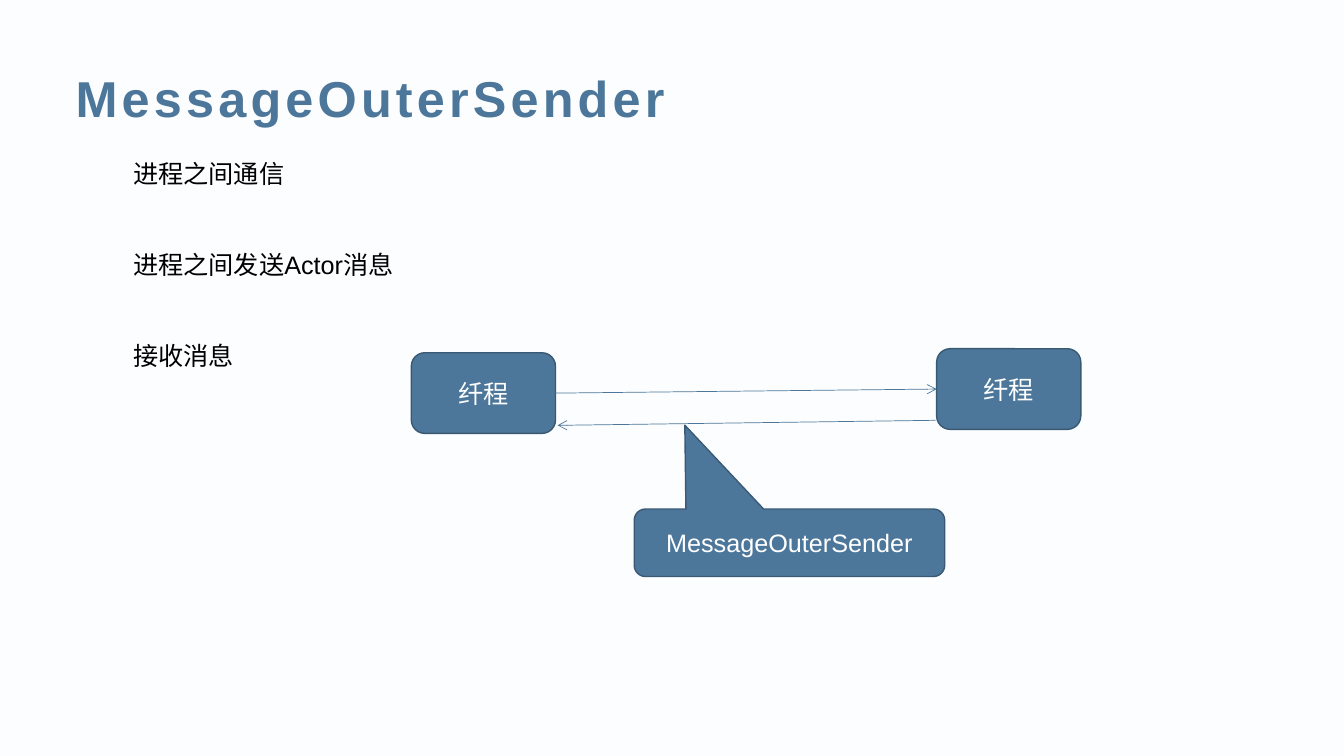
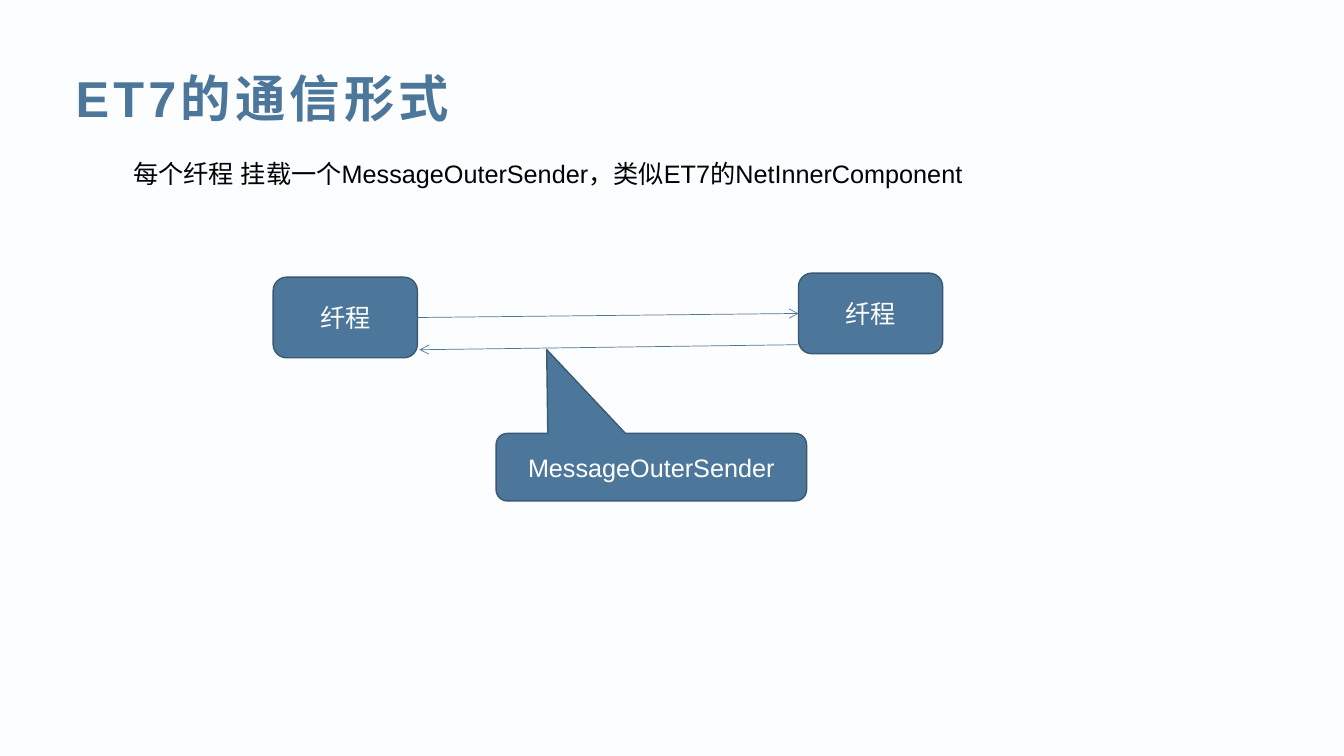
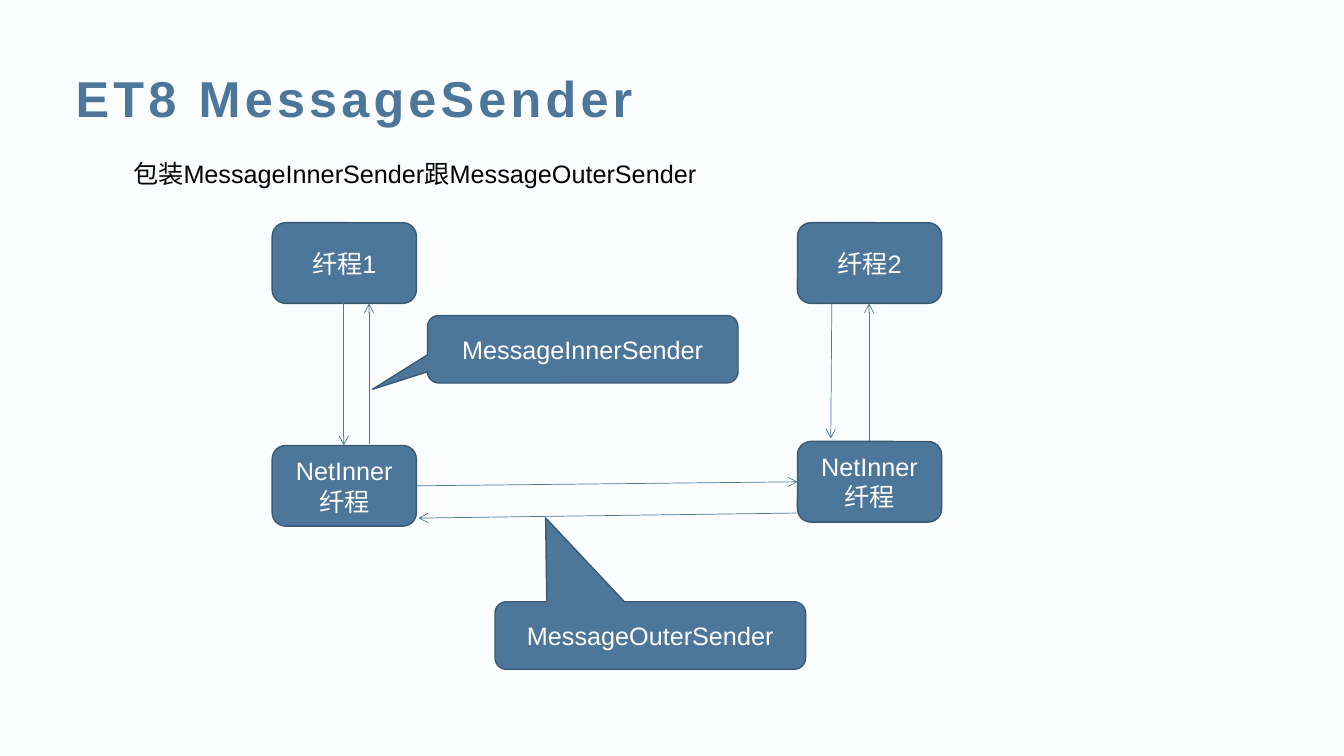
import lxml.etree
import pptx
import pptx.dml.color
import pptx.enum.lang
import pptx.enum.shapes
import pptx.enum.text
import pptx.oxml.ns
import pptx.util

PX = 9144  # EMU per px, 100 px to the inch
FONT = "Arial"
PAPER, BLUE, WHITE, BLACK = "FBFDFE", "4D779A", "FFFFFF", "000000"
EDGE, RIM = "395872", "3A5974"
BOX = (143, 80)
NOTE = (308, 67)
DOWN_LEFT = (-0.677, 0.593, 0.167)
UP_LEFT = (-0.337, -1.741, 0.167)

Kind = pptx.enum.shapes.MSO_SHAPE
Align = pptx.enum.text.PP_ALIGN
Anchor = pptx.enum.text.MSO_ANCHOR


def rgb(code):
    return pptx.dml.color.RGBColor.from_string(code)


def add_xml(parent, tag, **attrs):
    return lxml.etree.SubElement(parent, pptx.oxml.ns.qn(tag), **attrs)


def write(frame, *lines, size=18, color=BLACK, bold=False, track=0,
          align=Align.LEFT, anchor=Anchor.TOP, gap=0):
    """Fill a text frame, one paragraph a line; gap is points between them."""
    frame.word_wrap = True
    frame.auto_size = pptx.enum.text.MSO_AUTO_SIZE.NONE
    frame.vertical_anchor = anchor
    for i, line in enumerate(lines):
        para = frame.add_paragraph() if i else frame.paragraphs[0]
        para.alignment = align
        para.space_before = pptx.util.Pt(gap if i else 0)
        props = para._p.get_or_add_pPr()
        props.set("marL", "0")
        props.set("indent", "0")
        add_xml(props, "a:buNone")
        run = para.add_run()
        run.text = line
        font = run.font
        font.name = FONT
        font.size = pptx.util.Pt(size)
        font.bold = bold
        font.color.rgb = rgb(color)
        font.language_id = pptx.enum.lang.MSO_LANGUAGE_ID.SIMPLIFIED_CHINESE
        style = run._r.get_or_add_rPr()
        add_xml(style, "a:ea", typeface=FONT)
        if track:
            style.set("spc", str(track * 100))


class Deck:
    """Holds the shared style and the slide being drawn."""

    def __init__(self):
        self.prs = pptx.Presentation()
        self.prs.slide_width = 1333 * PX
        self.prs.slide_height = 750 * PX
        fill = self.prs.slide_master.background.fill
        fill.solid()
        fill.fore_color.rgb = rgb(PAPER)

    def page(self, title, *items):
        self.slide = self.prs.slides.add_slide(self.prs.slide_layouts[1])
        head, body = self.slide.placeholders
        self.place(head, 65, 58, 1228, 77)
        self.place(body, 122, 152, 1053, 522)
        write(head.text_frame, title, size=36, color=BLUE, bold=True,
              track=3, anchor=Anchor.MIDDLE)
        write(body.text_frame, *items, gap=43.5)

    def place(self, shape, x, y, w, h):
        shape.left, shape.top = x * PX, y * PX
        shape.width, shape.height = w * PX, h * PX

    def shape(self, kind, x, y, size, text, edge):
        w, h = size
        shape = self.slide.shapes.add_shape(
            kind, x * PX, y * PX, w * PX, h * PX)
        shape.shadow.inherit = False
        shape.fill.solid()
        shape.fill.fore_color.rgb = rgb(BLUE)
        shape.line.color.rgb = rgb(edge)
        shape.line.width = pptx.util.Pt(1)
        write(shape.text_frame, text, color=WHITE, align=Align.CENTER,
              anchor=Anchor.MIDDLE)
        return shape

    def box(self, x, y, text):
        self.shape(Kind.ROUNDED_RECTANGLE, x, y, BOX, text, EDGE)

    def note(self, x, y, text, tip):
        """Add a callout; tip holds its three adjustments."""
        shape = self.shape(Kind.ROUNDED_RECTANGULAR_CALLOUT, x, y, NOTE,
                           text, RIM)
        for i, value in enumerate(tip):
            shape.adjustments[i] = value

    def arrow(self, *ends):
        link = self.slide.shapes.add_connector(
            pptx.enum.shapes.MSO_CONNECTOR.STRAIGHT,
            *(end * PX for end in ends))
        link.line.color.rgb = rgb(BLUE)
        link.line.width = pptx.util.Pt(0.5)
        props = link._element.spPr
        add_xml(props.find(pptx.oxml.ns.qn("a:ln")), "a:tailEnd", type="arrow")
        add_xml(props, "a:effectLst")

    def pair(self, x, y, text):
        """Draw two fibers that exchange messages; x, y is the left one."""
        self.box(x, y, text)
        self.box(x + 521, y - 4, text)
        self.arrow(x + 142, y + 40, x + 521, y + 36)
        self.arrow(x + 520, y + 67, x + 145, y + 72)
        self.note(x + 221, y + 155, "MessageOuterSender", UP_LEFT)


def main():
    deck = Deck()

    deck.page("MessageOuterSender",
              "进程之间通信", "进程之间发送Actor消息", "接收消息")
    deck.pair(408, 350, "纤程")

    deck.page("ET7的通信形式",
              "每个纤程 挂载一个MessageOuterSender，类似ET7的NetInnerComponent")
    deck.pair(271, 275, "纤程")

    deck.page("ET8 MessageSender",
              "包装MessageInnerSender跟MessageOuterSender")
    deck.box(270, 221, "纤程1")
    deck.box(791, 221, "纤程2")
    deck.pair(270, 442, "NetInner纤程")
    deck.arrow(341, 301, 341, 442)
    deck.arrow(366, 440, 366, 301)
    deck.arrow(825, 301, 824, 435)
    deck.arrow(862, 438, 862, 301)
    deck.note(424, 313, "MessageInnerSender", DOWN_LEFT)

    deck.prs.save("out.pptx")


if __name__ == "__main__":
    main()
